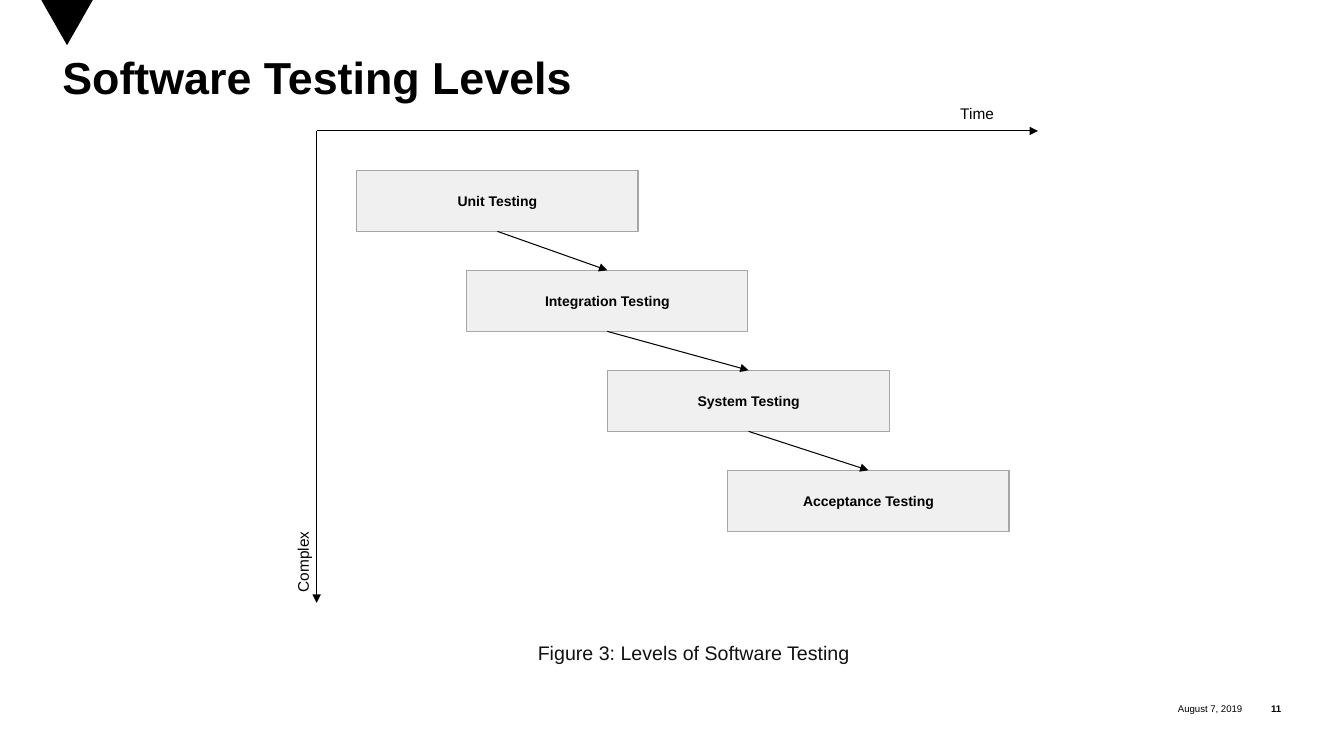
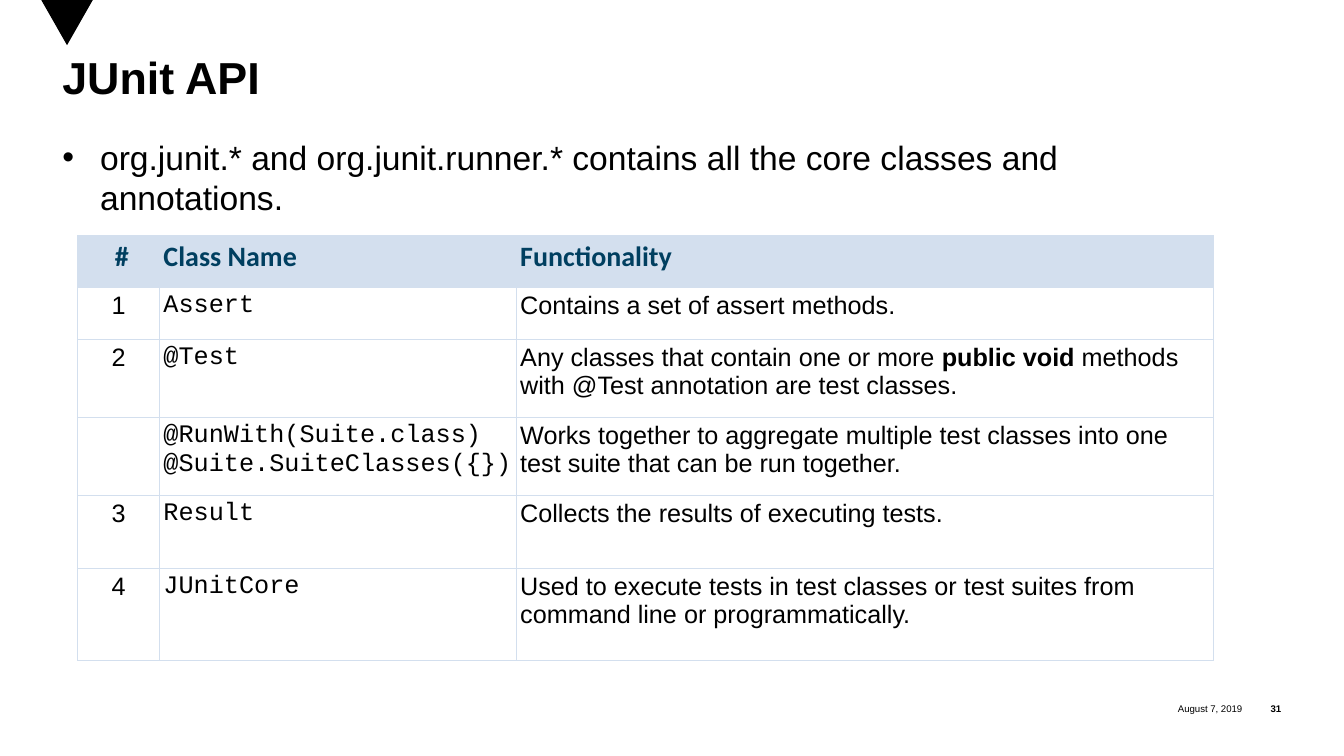
from itertools import pairwise

from pptx import Presentation
from pptx.dml.color import RGBColor
from pptx.enum.shapes import MSO_CONNECTOR, MSO_SHAPE
from pptx.enum.text import MSO_ANCHOR, MSO_AUTO_SIZE, PP_ALIGN
from pptx.oxml import parse_xml
from pptx.oxml.ns import nsdecls
from pptx.util import Cm, Pt

LEFT, MID, RIGHT = PP_ALIGN.LEFT, PP_ALIGN.CENTER, PP_ALIGN.RIGHT
TOP, HALF = MSO_ANCHOR.TOP, MSO_ANCHOR.MIDDLE
RECT, WEDGE = MSO_SHAPE.RECTANGLE, MSO_SHAPE.FLOWCHART_MERGE
LINE, FIXED = MSO_CONNECTOR.STRAIGHT, MSO_AUTO_SIZE.NONE

BLACK, GREY, EDGE = "000000", "F0F0F0", "A6A6A6"
NAVY, PALE, INK = "003F60", "D3DFEE", "111111"
SANS, CODE, HEAD = "Arial", "Courier New", "Calibri"

STEPS = [
    ("Unit Testing", 8.99),
    ("Integration Testing", 11.76),
    ("System Testing", 15.32),
    ("Acceptance Testing", 18.34),
]
COLS = [2.06, 8.99, 17.58]
ROWS = [1.3, 1.32, 1.96, 1.96, 1.85, 2.31]
HEADS = [" #", "Class Name", "Functionality"]
# In the last column, every second piece is bold.
CLASSES = [
    ("1", "Assert", ["Contains a set of assert methods."]),
    ("2", "@Test", ["Any classes that contain one or more ", "public void",
                    " methods with @Test annotation are test classes."]),
    ("", "@RunWith(Suite.class)\n@Suite.SuiteClasses({})",
     ["Works together to aggregate multiple test classes into one test suite "
      "that can be run together."]),
    ("3", "Result", ["Collects the results of executing tests."]),
    ("4", "JUnitCore", ["Used to execute tests in test classes or test suites "
                        "from command line or programmatically."]),
]


def paint(color, code):
    color.rgb = RGBColor.from_string(code)


def write(para, text, size, hue=BLACK, bold=False, font=SANS):
    """Add one formatted run to a paragraph."""
    run = para.add_run()
    run.text = text
    run.font.size = Pt(size)
    run.font.bold = bold
    run.font.name = font
    paint(run.font.color, hue)


def place(shape, x, y, w, h):
    shape.left, shape.top = Cm(x), Cm(y)
    shape.width, shape.height = Cm(w), Cm(h)


def trim(frame, anchor):
    """Drop a frame's margins and keep its text size."""
    frame.margin_left = frame.margin_right = 0
    frame.margin_top = frame.margin_bottom = 0
    frame.vertical_anchor = anchor
    frame.auto_size = FIXED


def label(slide, text, x, y, w, h, size, align=LEFT, hue=BLACK, bold=False,
          wrap=True):
    box = slide.shapes.add_textbox(Cm(x), Cm(y), Cm(w), Cm(h))
    box.text_frame.word_wrap = wrap
    para = box.text_frame.paragraphs[0]
    para.alignment = align
    write(para, text, size, hue, bold)
    return box


def block(slide, kind, x, y, w, h, fill, edge=None):
    shape = slide.shapes.add_shape(kind, Cm(x), Cm(y), Cm(w), Cm(h))
    shape.shadow.inherit = False
    shape.fill.solid()
    paint(shape.fill.fore_color, fill)
    if edge:
        paint(shape.line.color, edge)
        shape.line.width = Pt(0.75)
    else:
        shape.line.fill.background()
    return shape


def arrow(slide, x1=0, y1=0, x2=0, y2=0):
    link = slide.shapes.add_connector(LINE, Cm(x1), Cm(y1), Cm(x2), Cm(y2))
    paint(link.line.color, BLACK)
    link.line.width = Pt(0.75)
    link.line._get_or_add_ln().append(
        parse_xml(f'<a:tailEnd {nsdecls("a")} type="triangle"/>'))
    link._element.spPr.append(parse_xml(f'<a:effectLst {nsdecls("a")}/>'))
    return link


def start(deck, layout, title, number):
    """Add a slide with the shared wedge, title, date and number."""
    slide = deck.slides.add_slide(deck.slide_layouts[layout])
    block(slide, WEDGE, 1.04, 0, 1.3, 1.14, BLACK)
    head = slide.shapes.title
    place(head, 1.57, 1.47, 30.68, 3.28)
    trim(head.text_frame, TOP)
    para = head.text_frame.paragraphs[0]
    para.alignment = LEFT
    para.line_spacing = 0.85
    write(para, title, 32, bold=True)
    for text, x, w, bold in (("August 7, 2019", 27.53, 3.78, False),
                             (number, 31.32, 0.97, True)):
        foot = label(slide, text, x, 17.55, w, 0.64, 6.9, RIGHT, bold=bold)
        trim(foot.text_frame, HALF)
    return slide


def border(cell):
    props = cell._tc.get_or_add_tcPr()
    for side in "LRTB":
        props.append(parse_xml(
            f'<a:ln{side} {nsdecls("a")} w="{Pt(1)}"><a:solidFill>'
            f'<a:srgbClr val="{PALE}"/></a:solidFill></a:ln{side}>'))


def levels(deck):
    slide = start(deck, 5, "Software Testing Levels", "11")
    boxes = []
    for i, (text, x) in enumerate(STEPS):
        box = block(slide, RECT, x, 4.29 + 2.52 * i, 7.09, 1.54, GREY, EDGE)
        box.text_frame.vertical_anchor = HALF
        para = box.text_frame.paragraphs[0]
        para.alignment = MID
        write(para, text, 10, bold=True)
        boxes.append(box)
    for upper, lower in pairwise(boxes):
        link = arrow(slide)
        link.begin_connect(upper, 2)
        link.end_connect(lower, 0)
    arrow(slide, 7.98, 3.3, 26.16, 3.3)
    arrow(slide, 7.98, 3.3, 7.98, 15.19)
    label(slide, "Complex", 6.12, 13.26, 3.07, 0.76, 11).rotation = 270
    label(slide, "Time", 23.95, 2.49, 2.64, 0.76, 11)
    label(slide, "Figure 3: Levels of Software Testing",
          13.28, 16.03, 8.41, 0.86, 14, MID, INK, wrap=False)


def grid(slide):
    """Add the table of classes."""
    frame = slide.shapes.add_table(len(ROWS), len(COLS), Cm(1.96), Cm(5.94),
                                   Cm(sum(COLS)), Cm(sum(ROWS)))
    table = frame.table
    table.horz_banding = False
    for col, width in zip(table.columns, COLS):
        col.width = Cm(width)
    for row, height in zip(table.rows, ROWS):
        row.height = Cm(height)
    for cell in table.iter_cells():
        border(cell)
        cell.margin_left = cell.margin_right = Cm(0.1)
        cell.margin_top = cell.margin_bottom = Cm(0.1)
        cell.fill.background()
    for c, text in enumerate(HEADS):
        cell = table.cell(0, c)
        cell.fill.solid()
        paint(cell.fill.fore_color, PALE)
        write(cell.text_frame.paragraphs[0], text, 20, NAVY, True, HEAD)
    for r, (mark, name, parts) in enumerate(CLASSES, 1):
        first, second, third = (table.cell(r, c).text_frame for c in range(3))
        if mark:
            write(first.paragraphs[0], mark, 18)
        for i, line in enumerate(name.split("\n")):
            para = second.add_paragraph() if i else second.paragraphs[0]
            write(para, line, 18, font=CODE)
        for i, part in enumerate(parts):
            write(third.paragraphs[0], part, 18, bold=i % 2 == 1)
    for r in range(len(ROWS)):
        table.cell(r, 0).text_frame.paragraphs[0].alignment = MID


def api(deck):
    slide = start(deck, 1, "JUnit API", "31")
    body = slide.placeholders[1]
    place(body, 1.57, 3.45, 25.93, 2.51)
    trim(body.text_frame, TOP)
    para = body.text_frame.paragraphs[0]
    para.space_before = Pt(7.5)
    write(para, "org.junit.* and org.junit.runner.* contains all the core "
                "classes and annotations.", 24)
    grid(slide)


def main():
    deck = Presentation()
    deck.slide_width, deck.slide_height = Cm(33.87), Cm(19.05)
    levels(deck)
    api(deck)
    deck.save("out.pptx")


if __name__ == "__main__":
    main()
